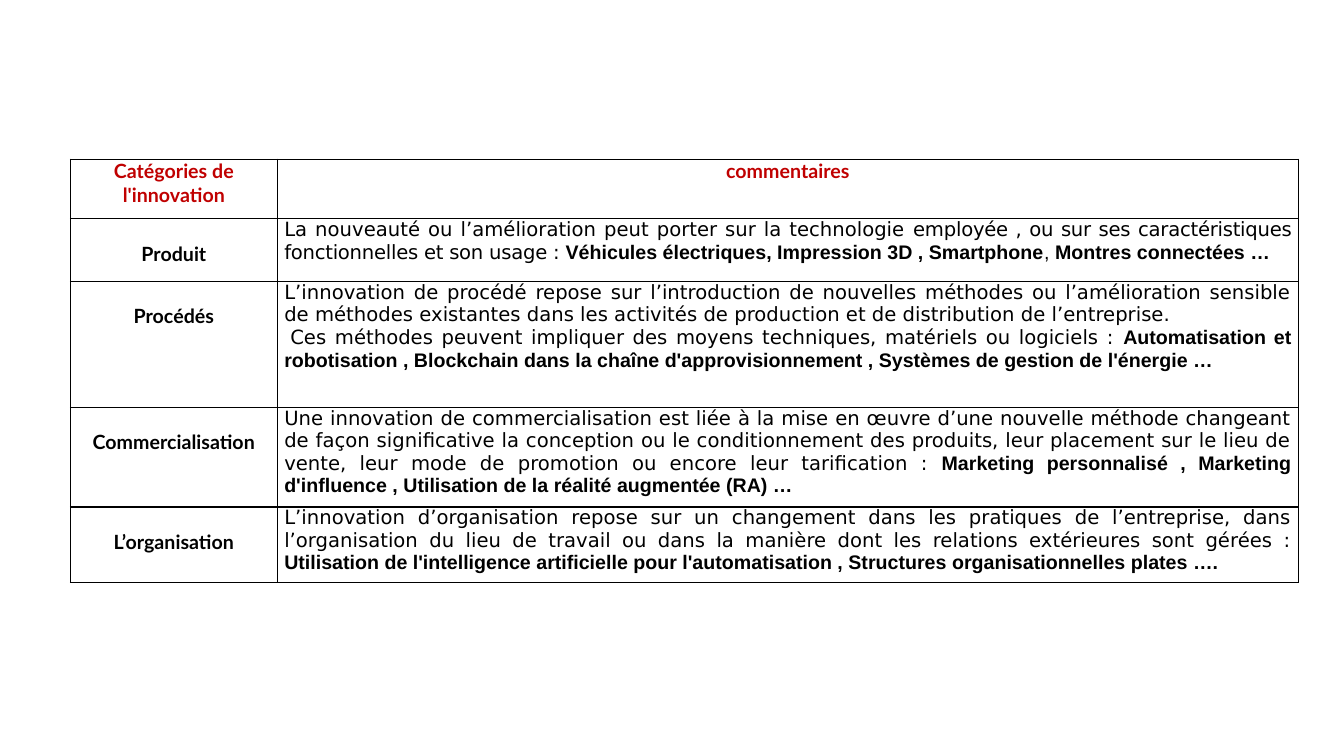
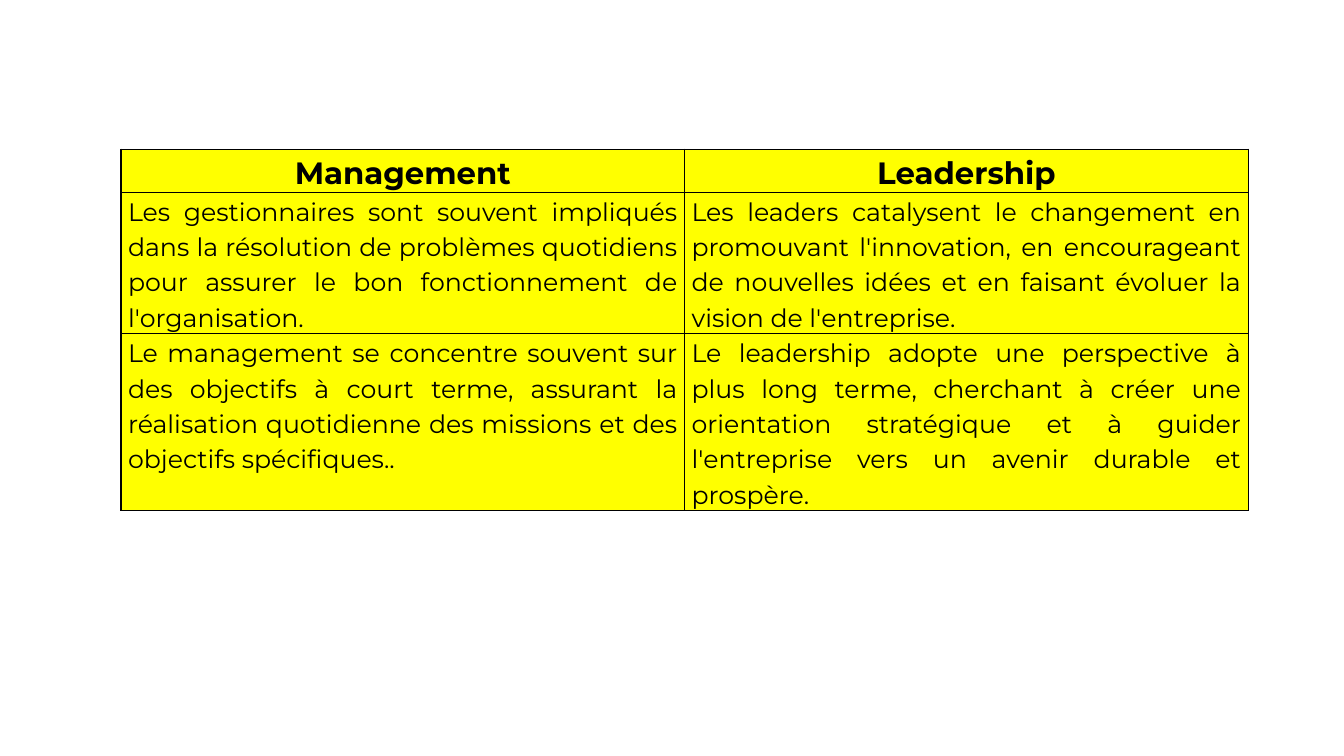
from lxml import etree
from pptx import Presentation
from pptx.dml.color import RGBColor
from pptx.enum import text
from pptx.oxml import ns
from pptx.util import Inches, Pt

BLACK, RED, YELLOW = "000000", "C00000", "FFFF00"
SIDE_INSET, LABEL_INSET = 0.07, 0.23

INNOVATION_HEADS = ("Catégories de l'innovation", "commentaires")
INNOVATIONS = [
    ("Produit", [[
        ("La nouveauté ou l’amélioration peut porter sur la technologie ", "plain"),
        ("employée , ou sur ses caractéristiques fonctionnelles et son usage : ", "tight"),
        ("Véhicules électriques, Impression 3D , Smartphone", "strong"),
        (", ", "light"),
        ("Montres connectées …", "strong"),
    ]]),
    ("Procédés", [
        [("L’innovation de procédé repose sur l’introduction de nouvelles méthodes ou "
          "l’amélioration sensible de méthodes existantes dans les activités de production "
          "et de distribution de l’entreprise.", "plain")],
        [("Ces méthodes peuvent impliquer des moyens techniques, matériels ou logiciels : ", "plain"),
         ("Automatisation et robotisation , Blockchain dans la chaîne d'approvisionnement , "
          "Systèmes de gestion de l'énergie …", "strong")],
    ]),
    ("Commercialisation", [[
        ("Une innovation de commercialisation est liée à la mise en œuvre d’une nouvelle méthode "
         "changeant de façon significative la conception ou le conditionnement des produits, leur "
         "placement sur le lieu de vente, leur mode de promotion ou encore leur tarification : ", "plain"),
        ("Marketing personnalisé , Marketing d'influence , Utilisation de la réalité augmentée (RA) …",
         "strong"),
    ]]),
    ("L’organisation", [[
        ("L’innovation d’organisation repose sur un changement dans les pratiques de l’entreprise, "
         "dans l’organisation du lieu de travail ou dans la manière dont les relations extérieures "
         "sont gérées : ", "plain"),
        ("Utilisation de l'intelligence artificielle pour l'automatisation , "
         "Structures organisationnelles plates ….", "strong"),
    ]]),
]
COMMENT_STYLES = {
    "plain": dict(font="DejaVu Sans"),
    "tight": dict(font="DejaVu Sans", spacing=-0.2),
    "strong": dict(font="Arial", bold=True),
    "light": dict(font="Arial"),
}

ROLE_HEADS = ("Management", "Leadership")
ROLES = [
    ("Les gestionnaires sont souvent impliqués dans la résolution de problèmes quotidiens pour "
     "assurer le bon fonctionnement de l'organisation.",
     "Les leaders catalysent le changement en promouvant l'innovation, en encourageant de "
     "nouvelles idées et en faisant évoluer la vision de l'entreprise."),
    ("Le management se concentre souvent sur des objectifs à court terme, assurant la réalisation "
     "quotidienne des missions et des objectifs spécifiques..",
     "Le leadership adopte une perspective à plus long terme, cherchant à créer une orientation "
     "stratégique et à guider l'entreprise vers un avenir durable et prospère."),
]


def rgb(value):
    return RGBColor.from_string(value)


def write(paragraph, words, size=14, font="Lato", color=BLACK, bold=False, spacing=0):
    run = paragraph.add_run()
    run.text = words
    run.font.size = Pt(size)
    run.font.name = font
    run.font.bold = bold
    run.font.color.rgb = rgb(color)
    if spacing:
        run.font._element.set("spc", str(round(spacing * 100)))


def align(paragraph, centred, line_spacing=1.0):
    paragraph.alignment = text.PP_ALIGN.CENTER if centred else text.PP_ALIGN.JUSTIFY
    paragraph.line_spacing = line_spacing
    return paragraph


def outline(cell):
    props = cell._tc.get_or_add_tcPr()
    for index, side in enumerate(("lnL", "lnR", "lnT", "lnB")):
        line = etree.Element(ns.qn("a:" + side), w=str(Pt(1)))
        paint = etree.SubElement(line, ns.qn("a:solidFill"))
        etree.SubElement(paint, ns.qn("a:srgbClr"), val=BLACK)
        props.insert(index, line)


def add_grid(deck, left, top, widths, heights, fill=None):
    slide = deck.slides.add_slide(deck.slide_layouts[6])
    grid = slide.shapes.add_table(
        len(heights), len(widths), Inches(left), Inches(top),
        Inches(sum(widths)), Inches(sum(heights))).table
    grid.first_row = grid.horz_banding = False
    for column, width in zip(grid.columns, widths):
        column.width = Inches(width)
    for row, height in zip(grid.rows, heights):
        row.height = Inches(height)
    for cell in grid.iter_cells():
        cell.margin_left = cell.margin_right = Inches(SIDE_INSET)
        cell.margin_top = cell.margin_bottom = 0
        if fill:
            cell.fill.solid()
            cell.fill.fore_color.rgb = rgb(fill)
        else:
            cell.fill.background()
        outline(cell)
    return grid


def first_paragraph(cell):
    return cell.text_frame.paragraphs[0]


def build_innovations(deck):
    grid = add_grid(deck, 0.7, 1.58, (2.05, 10.13), (0.59, 0.62, 1.25, 0.99, 0.75))
    for column, head in enumerate(INNOVATION_HEADS):
        write(align(first_paragraph(grid.cell(0, column)), True), head, color=RED, bold=True)
    for row, (category, comments) in enumerate(INNOVATIONS, 1):
        label, comment = grid.cell(row, 0), grid.cell(row, 1)
        label.margin_top = Inches(LABEL_INSET)
        write(align(first_paragraph(label), True), category, bold=True)
        for index, runs in enumerate(comments):
            paragraph = comment.text_frame.add_paragraph() if index else first_paragraph(comment)
            align(paragraph, False, 1.0 if index else 0.98)
            if index:
                paragraph._p.get_or_add_pPr().set("indent", str(Inches(0.06)))
            for words, style in runs:
                write(paragraph, words, **COMMENT_STYLES[style])


def build_roles(deck):
    grid = add_grid(deck, 1.2, 1.48, (5.59, 5.59), (0.42, 1.38, 1.73), fill=YELLOW)
    for row, entries in enumerate([ROLE_HEADS] + ROLES):
        is_head = row == 0
        for column, words in enumerate(entries):
            paragraph = align(first_paragraph(grid.cell(row, column)), is_head, 1.15)
            write(paragraph, words, size=22 if is_head else 18, font="Montserrat", bold=is_head)


def main():
    deck = Presentation()
    deck.slide_width, deck.slide_height = Inches(13.33), Inches(7.5)
    build_innovations(deck)
    build_roles(deck)
    deck.save("out.pptx")


if __name__ == "__main__":
    main()
